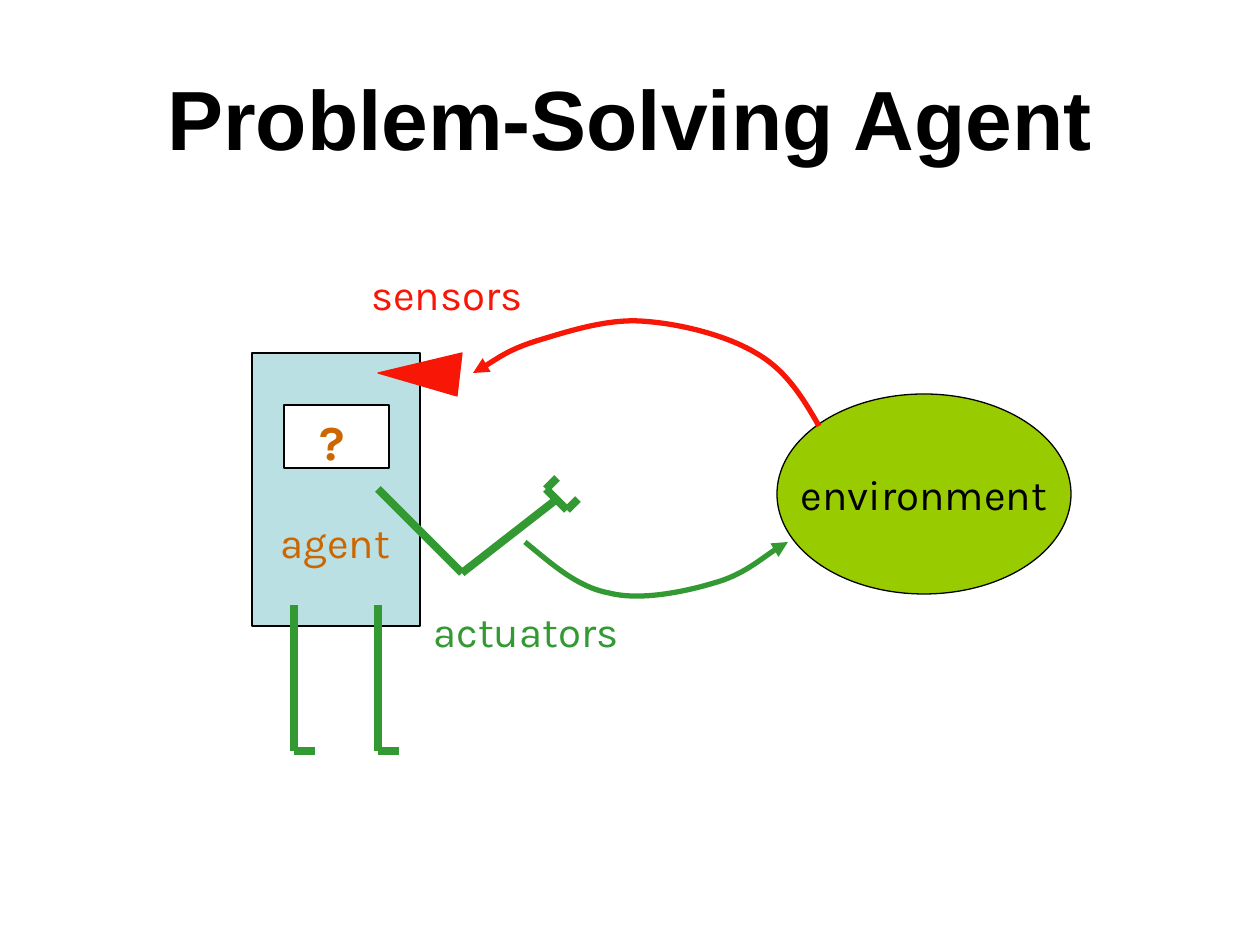
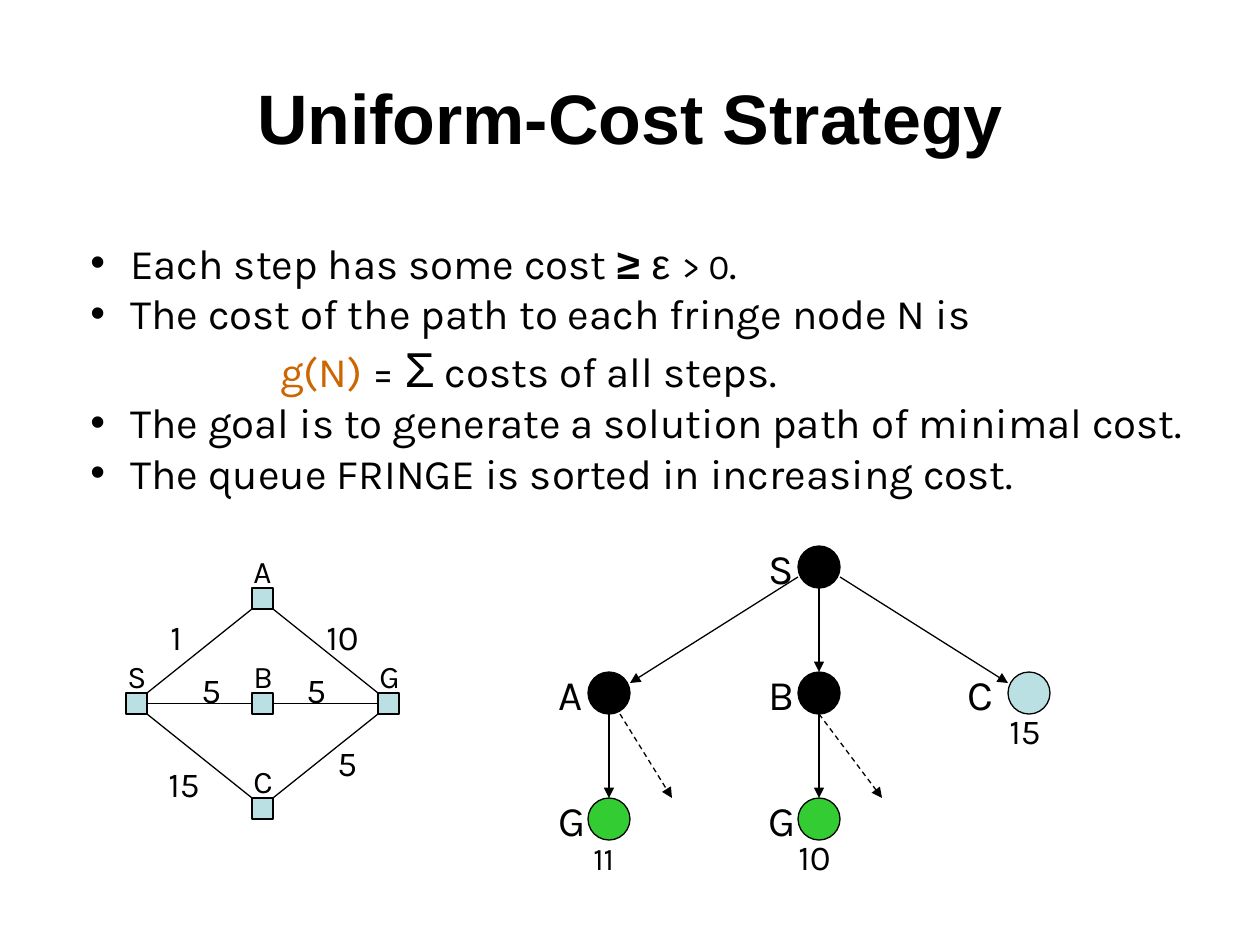
from pptx import Presentation
from pptx.dml.color import RGBColor
from pptx.enum.dml import MSO_LINE
from pptx.enum.shapes import MSO_CONNECTOR, MSO_SHAPE
from pptx.enum.text import MSO_ANCHOR, PP_ALIGN
from pptx.oxml.ns import qn
from pptx.util import Emu, Inches, Pt
from lxml.etree import SubElement

PX = Inches(1) / 126
BLACK, WHITE, PALE = "000000", "FFFFFF", "BBE0E3"
RED, GREEN, ORANGE = "F81706", "339933", "CC6600"
LIME, GOAL = "99CC00", "33CC33"


def px(*lengths):
    return [Emu(round(length * PX)) for length in lengths]


def color(hex_string):
    return RGBColor.from_string(hex_string)


class Deck:
    """Holds the style and the slide being drawn."""

    body_font, title_font = "Karla", "Arial"

    def __init__(self):
        self.prs = Presentation()
        self.prs.slide_width, self.prs.slide_height = px(1260, 945)
        self.slide = None

    def run(self, paragraph, text, size=24, hue=BLACK, bold=False, font=None):
        run = paragraph.add_run()
        run.text = text
        run.font.size, run.font.bold = Pt(size), bold
        run.font.name = font or self.body_font
        run.font.color.rgb = color(hue)

    def new_slide(self, title, size):
        self.slide = self.prs.slides.add_slide(self.prs.slide_layouts[5])
        heading = self.slide.shapes.title
        heading.left, heading.top, heading.width, heading.height = px(63, 38, 1134, 158)
        heading.text_frame.vertical_anchor = MSO_ANCHOR.MIDDLE
        paragraph = heading.text_frame.paragraphs[0]
        paragraph.alignment = PP_ALIGN.CENTER
        self.run(paragraph, title, size, bold=True, font=self.title_font)

    def label(self, text, x, y, w, h, size=24, hue=BLACK, bold=False):
        box = self.slide.shapes.add_textbox(*px(x, y, w, h))
        box.text_frame.word_wrap = False
        self.run(box.text_frame.paragraphs[0], text, size, hue, bold)

    def bullets(self, x, y, w, h, lines, hang):
        """Each line is (left margin, has bullet, runs)."""
        frame = self.slide.shapes.add_textbox(*px(x, y, w, h)).text_frame
        frame.word_wrap = True
        for number, (margin, bulleted, runs) in enumerate(lines):
            paragraph = frame.add_paragraph() if number else frame.paragraphs[0]
            properties = paragraph._p.get_or_add_pPr()
            properties.set("marL", str(px(margin)[0]))
            if bulleted:
                properties.set("indent", str(px(-hang)[0]))
                SubElement(SubElement(properties, qn("a:buClr")), qn("a:srgbClr"), val=BLACK)
                SubElement(properties, qn("a:buFont"), typeface="Arial")
                SubElement(properties, qn("a:buChar"), char="•")
            for text, style in runs:
                self.run(paragraph, text, **style)

    def shape(self, kind, x, y, w, h, fill, text=None):
        shape = self.slide.shapes.add_shape(kind, *px(x, y, w, h))
        self.paint(shape, fill, BLACK, 0.75)
        if text:
            shape.text_frame.word_wrap = False
            shape.text_frame.vertical_anchor = MSO_ANCHOR.MIDDLE
            paragraph = shape.text_frame.paragraphs[0]
            paragraph.alignment = PP_ALIGN.CENTER
            self.run(paragraph, text)
        return shape

    def paint(self, shape, fill, line, weight):
        shape.shadow.inherit = False
        if fill:
            shape.fill.solid()
            shape.fill.fore_color.rgb = color(fill)
        else:
            shape.fill.background()
        shape.line.color.rgb = color(line)
        shape.line.width = Pt(weight)

    def arrowhead(self, shape):
        outline = shape.element.spPr.get_or_add_ln()
        SubElement(outline, qn("a:tailEnd"), type="triangle")

    def line(self, start, end, hue=BLACK, weight=0.75, arrow=False, dashed=False):
        connector = self.slide.shapes.add_connector(
            MSO_CONNECTOR.STRAIGHT, *px(*start, *end))
        connector.line.color.rgb = color(hue)
        connector.line.width = Pt(weight)
        if dashed:
            connector.line.dash_style = MSO_LINE.DASH
        if arrow:
            self.arrowhead(connector)
        SubElement(connector.element.spPr, qn("a:effectLst"))
        return connector

    def outline(self, points, close):
        builder = self.slide.shapes.build_freeform(*points[0], scale=PX)
        builder.add_line_segments(points[1:], close=close)
        return builder.convert_to_shape()

    def polygon(self, points, fill):
        self.paint(self.outline(points, True), fill, fill, 0.75)

    def curve_arrow(self, points, hue):
        """Every three points after the first make one Bezier segment."""
        curve = self.outline(points, False)
        segments = list(curve.element.iter(qn("a:lnTo")))
        for i in range(0, len(segments), 3):
            first, *others = segments[i:i + 3]
            bezier = first.makeelement(qn("a:cubicBezTo"))
            first.addprevious(bezier)
            for segment in (first, *others):
                bezier.append(segment[0])
                segment.getparent().remove(segment)
        self.paint(curve, None, hue, 3)
        self.arrowhead(curve)


def agent_slide(deck):
    deck.new_slide("Problem-Solving Agent", 48)

    # Environment and the loop around it
    deck.shape(MSO_SHAPE.OVAL, 777, 394, 294, 200, LIME, "environment")
    deck.curve_arrow([(819, 426), (803, 398), (786, 370), (756, 353),
                      (726, 335), (678, 323), (640, 321),
                      (604, 319), (563, 333), (536, 341),
                      (508, 350), (483, 368), (473, 373)], RED)
    deck.curve_arrow([(525, 542), (552, 564), (577, 587), (609, 593),
                      (640, 601), (684, 592), (714, 583),
                      (743, 575), (775, 548), (788, 542)], GREEN)

    # Agent body
    deck.shape(MSO_SHAPE.RECTANGLE, 252, 353, 168, 273, PALE)
    deck.label("agent", 268, 510, 139, 63, hue=ORANGE)
    deck.shape(MSO_SHAPE.RECTANGLE, 284, 405, 105, 63, WHITE)
    deck.label("?", 307, 405, 48, 72, 28, ORANGE, True)

    # Arm, hand and legs
    shoulder, elbow, wrist = (378, 489), (462, 573), (557, 499)
    upper, lower = (546, 489), (567, 510)
    limbs = [(shoulder, elbow), (elbow, wrist), (upper, lower),
             (upper, (557, 478)), (lower, (578, 499))]
    for x in (294, 378):
        limbs += [((x, 751), (x, 605)), ((x, 751), (x + 21, 751))]
    for start, end in limbs:
        deck.line(start, end, GREEN, 4.5)

    # Sensor and labels
    deck.polygon([(378, 373), (462, 353), (457, 396)], RED)
    deck.label("sensors", 359, 262, 178, 63, hue=RED)
    deck.label("actuators", 421, 599, 212, 63, hue=GREEN)


def state_graph(deck):
    side, left, top, column, row = 21, 126, 588, 126, 105
    cells = {"S": (0, 1), "A": (1, 0), "B": (1, 1), "G": (2, 1), "C": (1, 2)}
    label_widths = {"S": 43, "G": 48}
    nodes, corners = {}, {}
    for name, (i, j) in cells.items():
        x, y = left + i * column, top + j * row
        nodes[name] = deck.shape(MSO_SHAPE.RECTANGLE, x, y, side, side, PALE)
        corners[name] = x, y
        deck.label(name, x - 11, y - 42, label_widths.get(name, 45), 50, 18)

    # Diagonal edges run from corner to corner, level ones join the sides
    for start, end in ("SA", "SC", "AG", "CG"):
        (x1, y1), (x2, y2) = corners[start], corners[end]
        rising = y2 < y1
        deck.line((x1 + side, y1 + (0 if rising else side)),
                  (x2, y2 + (side if rising else 0)))
    for start, end in ("SB", "BG"):
        edge = deck.line(corners[start], corners[end])
        edge.begin_connect(nodes[start], 3)
        edge.end_connect(nodes[end], 1)

    # Step costs
    for cost, x, y in (("1", 158, 609), ("10", 314, 609), ("5", 189, 662),
                       ("5", 294, 662), ("15", 156, 756), ("5", 325, 735)):
        deck.label(cost, x, y, 24 + 21 * len(cost), 55, 20)


def search_tree(deck):
    size = 42
    # Name, place, fill, gap to the name's left edge, name width
    for name, x, y, fill, gap, width in (
            ("S", 798, 546, BLACK, 42, 48), ("A", 588, 672, BLACK, 42, 52),
            ("B", 798, 672, BLACK, 42, 52), ("C", 1008, 672, PALE, 53, 52),
            ("G", 588, 798, GOAL, 42, 55), ("G", 798, 798, GOAL, 42, 55)):
        deck.shape(MSO_SHAPE.OVAL, x, y, size, size, fill)
        deck.label(name, x - gap, y - 10, width, 63)

    # Expanded branches, then the dashed open ones
    for start, end in (((798, 577), (630, 683)), ((819, 588), (819, 672)),
                       ((840, 577), (1008, 683)), ((609, 714), (609, 798)),
                       ((819, 714), (819, 798))):
        deck.line(start, end, arrow=True)
    for start, end in (((620, 714), (672, 798)), ((819, 714), (882, 798))):
        deck.line(start, end, arrow=True, dashed=True)

    # Path costs
    deck.label("15", 997, 703, 66, 55, 20)
    deck.label("11", 581, 833, 60, 50, 18)
    deck.label("10", 786, 829, 66, 55, 20)


def uniform_cost_slide(deck):
    deck.new_slide("Uniform-Cost Strategy", 40)
    hang = 40
    deck.bullets(78, 231, 1136, 273, [
        (hang, True, [("Each step has some cost ", {}),
                      ("≥ ", {"font": "Arial", "bold": True}),
                      ("ε ", {"font": "Arial"}),
                      ("> 0", {"size": 20}), (".", {})]),
        (hang, True, [("The cost of the path to each fringe node N is", {})]),
        (190, False, [("g(N)", {"hue": ORANGE}), (" = ", {}),
                      ("Σ", {"size": 28, "font": "Arial"}),
                      (" costs of all steps.", {})]),
        (hang, True, [("The goal is to generate a solution path of minimal cost.", {})]),
        (hang, True, [("The queue FRINGE is sorted in increasing cost.", {})]),
    ], hang)
    state_graph(deck)
    search_tree(deck)


def main():
    deck = Deck()
    agent_slide(deck)
    uniform_cost_slide(deck)
    deck.prs.save("out.pptx")


if __name__ == "__main__":
    main()
